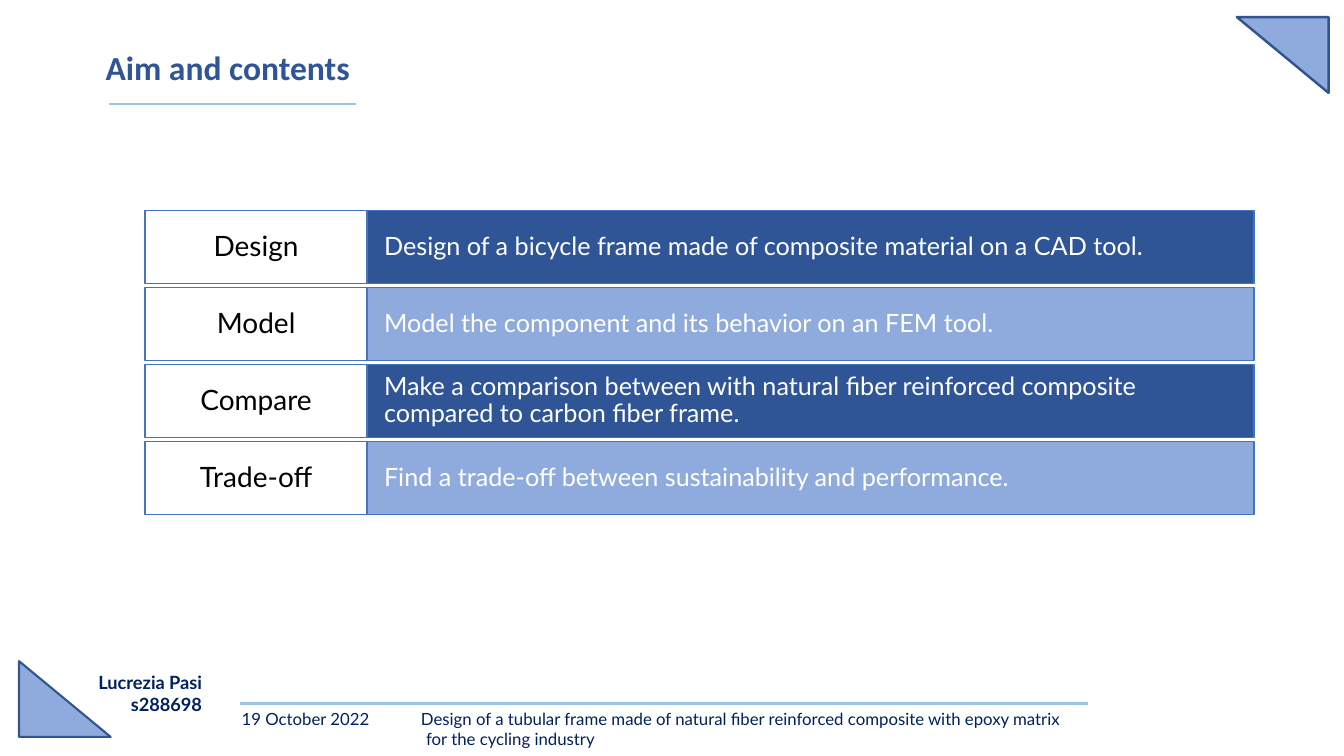
from dataclasses import dataclass

from lxml import etree
from pptx import Presentation
from pptx.dml.color import RGBColor
from pptx.enum import shapes, text
from pptx.oxml import ns
from pptx.util import Cm, Pt


@dataclass(frozen=True)
class Theme:
    dark: str = "2F5597"
    light: str = "8FAADC"
    edge: str = "4472C4"
    rim: str = "325491"
    rule: str = "9DC3E6"
    navy: str = "002060"
    white: str = "FFFFFF"
    black: str = "000000"
    head: str = "Calibri"
    body: str = "Lato"
    title: int = 24
    label: int = 20
    text: int = 18
    author: int = 13
    foot: int = 12


THEME = Theme()
LEFT, MID, RIGHT = (text.PP_ALIGN.LEFT, text.PP_ALIGN.CENTER,
                    text.PP_ALIGN.RIGHT)

ROWS = [
    ("Design", "Design of a bicycle frame made of composite material "
               "on a CAD tool."),
    ("Model", "Model the component and its behavior on an FEM tool."),
    ("Compare", "Make a comparison between with natural fiber reinforced "
                "composite compared to carbon fiber frame."),
    ("Trade-off", "Find a trade-off between sustainability and "
                  "performance."),
]


def rgb(code):
    return RGBColor.from_string(code)


def style(para, size, color, font=THEME.body, bold=False, align=LEFT):
    para.alignment = align
    para.font.size = Pt(size)
    para.font.name = font
    para.font.bold = bold
    para.font.color.rgb = rgb(color)


def add_rule(slide, x1, x2, y):
    line = slide.shapes.add_connector(
        shapes.MSO_CONNECTOR.STRAIGHT, Cm(x1), Cm(y), Cm(x2), Cm(y))
    line.line.color.rgb = rgb(THEME.rule)
    line.line.width = Pt(1.75)
    etree.SubElement(line._element.spPr, ns.qn("a:effectLst"))


def add_shape(slide, kind, box, fill, edge, width):
    shape = slide.shapes.add_shape(kind, *map(Cm, box))
    shape.shadow.inherit = False
    shape.fill.solid()
    shape.fill.fore_color.rgb = rgb(fill)
    shape.line.color.rgb = rgb(edge)
    shape.line.width = Pt(width)
    return shape


def add_cell(slide, box, fill, words, size, color, align, pad):
    cell = add_shape(slide, shapes.MSO_SHAPE.RECTANGLE, box, fill,
                     THEME.edge, 1)
    frame = cell.text_frame
    frame.word_wrap = True
    frame.vertical_anchor = text.MSO_ANCHOR.MIDDLE
    frame.margin_left = frame.margin_right = Cm(pad)
    para = frame.paragraphs[0]
    para.text = words
    para.line_spacing = 0.9
    style(para, size, color, align=align)


def add_text(slide, box, lines, wrap=True):
    frame = slide.shapes.add_textbox(*map(Cm, box)).text_frame
    frame.word_wrap = wrap
    frame.text = "\n".join(lines)
    return frame


def add_title(slide):
    frame = add_text(slide, (2.41, 1.17, 7.29, 1.17), ["Aim and contents"])
    frame.vertical_anchor = text.MSO_ANCHOR.BOTTOM
    para = frame.paragraphs[0]
    para.line_spacing = 0.9
    style(para, THEME.title, THEME.dark, THEME.head, bold=True)
    add_rule(slide, 2.74, 8.97, 2.62)


def add_rows(slide):
    left, top, high, pitch = 3.66, 5.31, 1.83, 1.94
    slim, wide = 5.59, 22.35
    for i, (name, aim) in enumerate(ROWS):
        y = top + i * pitch
        fill = THEME.light if i % 2 else THEME.dark
        add_cell(slide, (left + slim, y, wide, high), fill, aim,
                 THEME.text, THEME.white, LEFT, 0.43)
        add_cell(slide, (left, y, slim, high), THEME.white, name,
                 THEME.label, THEME.black, MID, 0.3)


def add_footer(slide):
    add_rule(slide, 6.05, 27.41, 17.73)
    author = add_text(slide, (2.01, 16.79, 3.33, 1.37),
                      ["Lucrezia Pasi", "s288698"], wrap=False)
    for para in author.paragraphs:
        style(para, THEME.author, THEME.navy, bold=True, align=RIGHT)

    # Date, then the thesis title at a tab stop
    thesis = add_text(slide, (5.84, 17.73, 21.97, 1.3), [
        "19 October 2022\tDesign of a tubular frame made of natural fiber "
        "reinforced composite with epoxy matrix",
        "for the cycling industry"])
    first, last = thesis.paragraphs
    tabs = etree.SubElement(first._p.get_or_add_pPr(), ns.qn("a:tabLst"))
    etree.SubElement(tabs, ns.qn("a:tab"), pos=str(Cm(4.52)), algn="l")
    last._p.get_or_add_pPr().set("marL", str(Cm(4.65)))
    for para in (first, last):
        style(para, THEME.foot, THEME.navy)


def add_corners(slide):
    kind = shapes.MSO_SHAPE.RIGHT_TRIANGLE
    wide, high = 2.31, 1.91
    upper = add_shape(slide, kind, (31.17, 0.43, wide, high),
                      THEME.light, THEME.rim, 1.75)
    upper.rotation = 180
    add_shape(slide, kind, (0.48, 16.66, wide, high),
              THEME.light, THEME.rim, 1.5)


def main():
    deck = Presentation()
    deck.slide_width, deck.slide_height = Cm(33.87), Cm(19.05)
    slide = deck.slides.add_slide(deck.slide_layouts[6])
    add_title(slide)
    add_rows(slide)
    add_footer(slide)
    add_corners(slide)
    deck.save("out.pptx")


if __name__ == "__main__":
    main()
